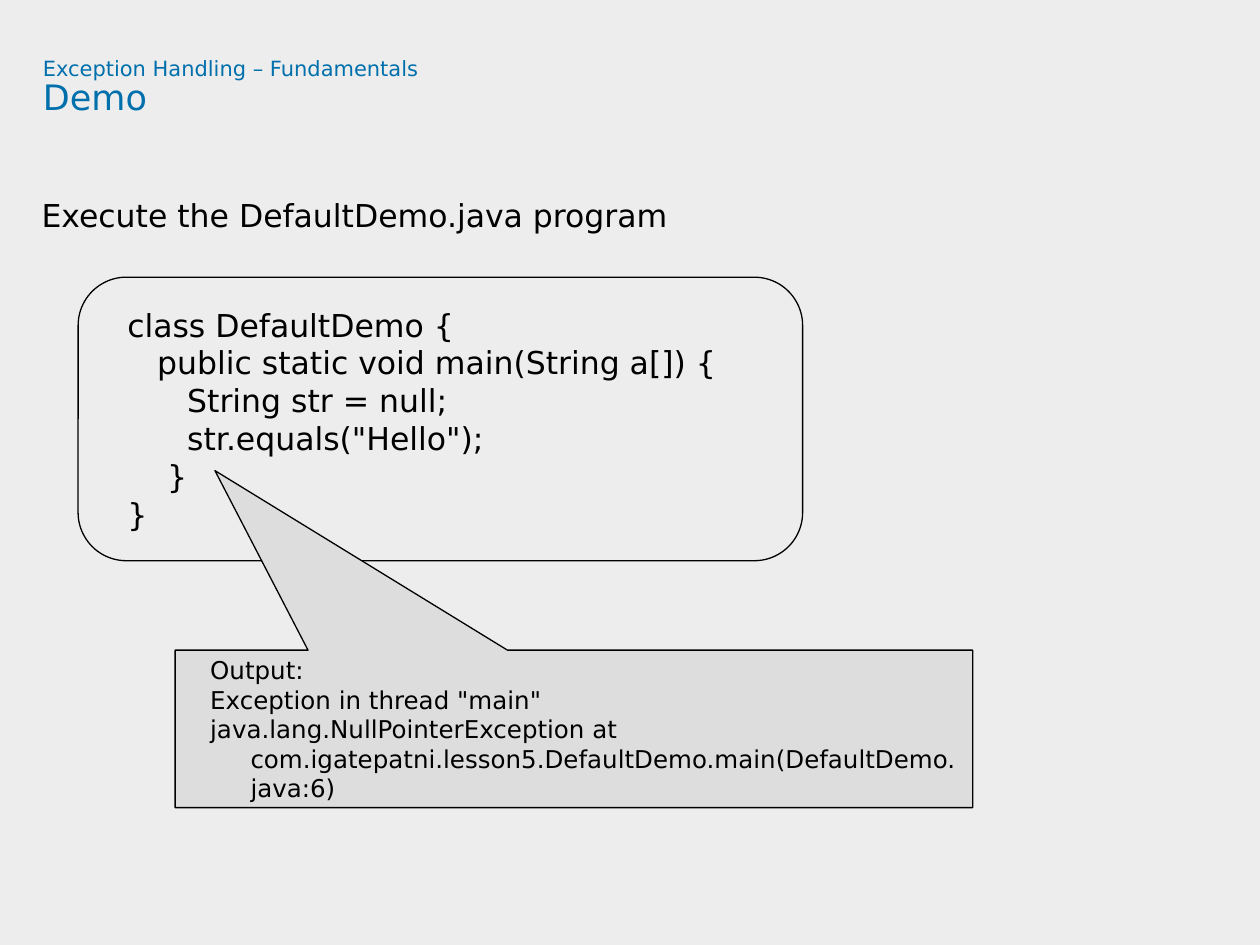
from pptx import Presentation
from pptx.dml.color import RGBColor
from pptx.enum.shapes import MSO_SHAPE
from pptx.enum.text import MSO_ANCHOR, PP_ALIGN
from pptx.util import Inches, Pt

FONT = "DejaVu Sans"
COLORS = {"background": "EDEDED", "heading": "0070AD", "ink": "000000", "output": "DDDDDD"}

HEADING = [("Exception Handling – Fundamentals", 12), ("Demo", 20)]
INSTRUCTION = [("Execute the DefaultDemo.java program", 18)]
CODE = [
    "class DefaultDemo {",
    "   public static void main(String a[]) {",
    "      String str = null;",
    '      str.equals("Hello");',
    "    }",
    "}",
]
OUTPUT = [
    "Output:",
    'Exception in thread "main"',
    "java.lang.NullPointerException at com.igatepatni.lesson5.DefaultDemo.main(DefaultDemo.java:6)",
]


def rgb(name):
    return RGBColor.from_string(COLORS[name])


def write(frame, lines, color, line_spacing=None, hanging=False):
    """Fill a text frame with one paragraph per (text, size) pair."""
    for index, (text, size) in enumerate(lines):
        paragraph = frame.paragraphs[0] if index == 0 else frame.add_paragraph()
        paragraph.alignment = PP_ALIGN.LEFT
        if line_spacing:
            paragraph.line_spacing = line_spacing
        if hanging:
            properties = paragraph._p.get_or_add_pPr()
            properties.set("marL", str(Inches(0.5)))
            properties.set("indent", str(Inches(-0.32)))
        run = paragraph.add_run()
        run.text = text
        run.font.name = FONT
        run.font.size = Pt(size)
        run.font.color.rgb = rgb(color)


def add_text(slide, box, lines, color, line_spacing):
    frame = slide.shapes.add_textbox(*map(Inches, box)).text_frame
    frame.word_wrap = True
    frame.margin_left = frame.margin_right = frame.margin_top = frame.margin_bottom = 0
    write(frame, lines, color, line_spacing)


def add_panel(slide, preset, box, adjustments, lines, size, fill=None, wrap=True):
    panel = slide.shapes.add_shape(preset, *map(Inches, box))
    panel.shadow.inherit = False
    for index, value in enumerate(adjustments):
        panel.adjustments[index] = value
    if fill:
        panel.fill.solid()
        panel.fill.fore_color.rgb = rgb(fill)
    else:
        panel.fill.background()
    panel.line.color.rgb = rgb("ink")
    panel.line.width = Pt(0.75)
    frame = panel.text_frame
    frame.word_wrap = wrap
    frame.vertical_anchor = MSO_ANCHOR.MIDDLE
    write(frame, [(line, size) for line in lines], "ink", hanging=True)


def main():
    deck = Presentation()
    deck.slide_width, deck.slide_height = Inches(10), Inches(7.5)
    slide = deck.slides.add_slide(deck.slide_layouts[6])
    slide.background.fill.solid()
    slide.background.fill.fore_color.rgb = rgb("background")

    add_text(slide, (0.34, 0.46, 9.09, 0.94), HEADING, "heading", 0.9)
    add_text(slide, (0.33, 1.63, 7.27, 5.08), INSTRUCTION, "ink", Pt(16.5))
    add_panel(slide, MSO_SHAPE.ROUNDED_RECTANGLE, (0.62, 2.2, 5.75, 2.25),
              [0.17], CODE, 18, wrap=False)
    add_panel(slide, MSO_SHAPE.RECTANGULAR_CALLOUT, (1.39, 5.16, 6.33, 1.25),
              [-0.45, -1.64], OUTPUT, 14, fill="output")
    deck.save("out.pptx")


if __name__ == "__main__":
    main()
